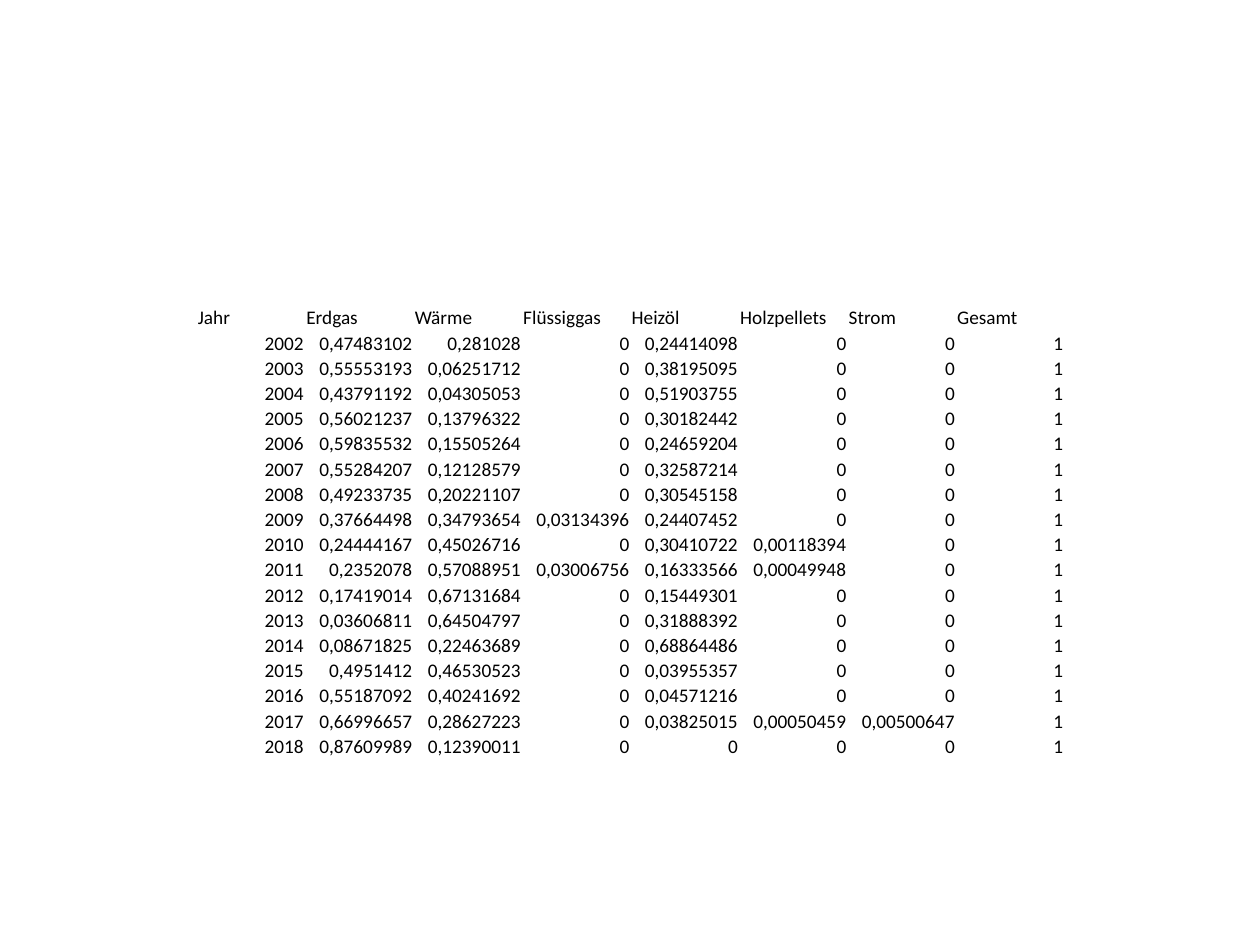
from dataclasses import dataclass

from pptx import Presentation
from pptx.dml.color import RGBColor
from pptx.enum.text import MSO_ANCHOR, PP_ALIGN
from pptx.util import Inches, Pt

BOTTOM = MSO_ANCHOR.BOTTOM
LEFT, RIGHT = PP_ALIGN.LEFT, PP_ALIGN.RIGHT
BLANK_LAYOUT = 6


@dataclass(frozen=True)
class Theme:
    font: str = "Calibri"
    size: Pt = Pt(11)
    text: RGBColor = RGBColor(0, 0, 0)


THEME = Theme()
CELL_FORMAT = {
    "vertical_anchor": BOTTOM,
    "margin_left": Inches(0.01),
    "margin_right": Inches(0.01),
    "margin_top": Inches(0.01),
    "margin_bottom": 0,
}
TABLE_FORMAT = {"first_row": False, "horz_banding": False}
FONT_FORMAT = {"name": THEME.font, "size": THEME.size}

ENERGY_SHARES = [
    "Jahr Erdgas Wärme Flüssiggas Heizöl Holzpellets Strom Gesamt",
    "2002 0,47483102 0,281028 0 0,24414098 0 0 1",
    "2003 0,55553193 0,06251712 0 0,38195095 0 0 1",
    "2004 0,43791192 0,04305053 0 0,51903755 0 0 1",
    "2005 0,56021237 0,13796322 0 0,30182442 0 0 1",
    "2006 0,59835532 0,15505264 0 0,24659204 0 0 1",
    "2007 0,55284207 0,12128579 0 0,32587214 0 0 1",
    "2008 0,49233735 0,20221107 0 0,30545158 0 0 1",
    "2009 0,37664498 0,34793654 0,03134396 0,24407452 0 0 1",
    "2010 0,24444167 0,45026716 0 0,30410722 0,00118394 0 1",
    "2011 0,2352078 0,57088951 0,03006756 0,16333566 0,00049948 0 1",
    "2012 0,17419014 0,67131684 0 0,15449301 0 0 1",
    "2013 0,03606811 0,64504797 0 0,31888392 0 0 1",
    "2014 0,08671825 0,22463689 0 0,68864486 0 0 1",
    "2015 0,4951412 0,46530523 0 0,03955357 0 0 1",
    "2016 0,55187092 0,40241692 0 0,04571216 0 0 1",
    "2017 0,66996657 0,28627223 0 0,03825015 0,00050459 0,00500647 1",
    "2018 0,87609989 0,12390011 0 0 0 0 1",
]


def apply_format(target, values):
    for attribute, value in values.items():
        setattr(target, attribute, value)


def fill_cell(cell, content, alignment):
    apply_format(cell, CELL_FORMAT)
    cell.fill.background()
    cell.text = content
    paragraph = cell.text_frame.paragraphs[0]
    paragraph.alignment = alignment
    font = paragraph.runs[0].font
    apply_format(font, FONT_FORMAT)
    font.color.rgb = THEME.text


def add_energy_table(slide, records, left, top, width, height):
    energy = slide.shapes.add_table(
        len(records), len(records[0]), left, top, width, height
    ).table
    apply_format(energy, TABLE_FORMAT)
    for row_index, record in enumerate(records):
        alignment = RIGHT if row_index else LEFT
        for column_index, content in enumerate(record):
            fill_cell(energy.cell(row_index, column_index), content, alignment)


def build_energy_slide(presentation):
    slide = presentation.slides.add_slide(presentation.slide_layouts[BLANK_LAYOUT])
    records = [line.split() for line in ENERGY_SHARES]
    add_energy_table(
        slide, records, Inches(1.56), Inches(2.42), Inches(6.89), Inches(3.6)
    )


presentation = Presentation()
presentation.slide_width = Inches(10)
presentation.slide_height = Inches(7.5)
build_energy_slide(presentation)
presentation.save("out.pptx")
